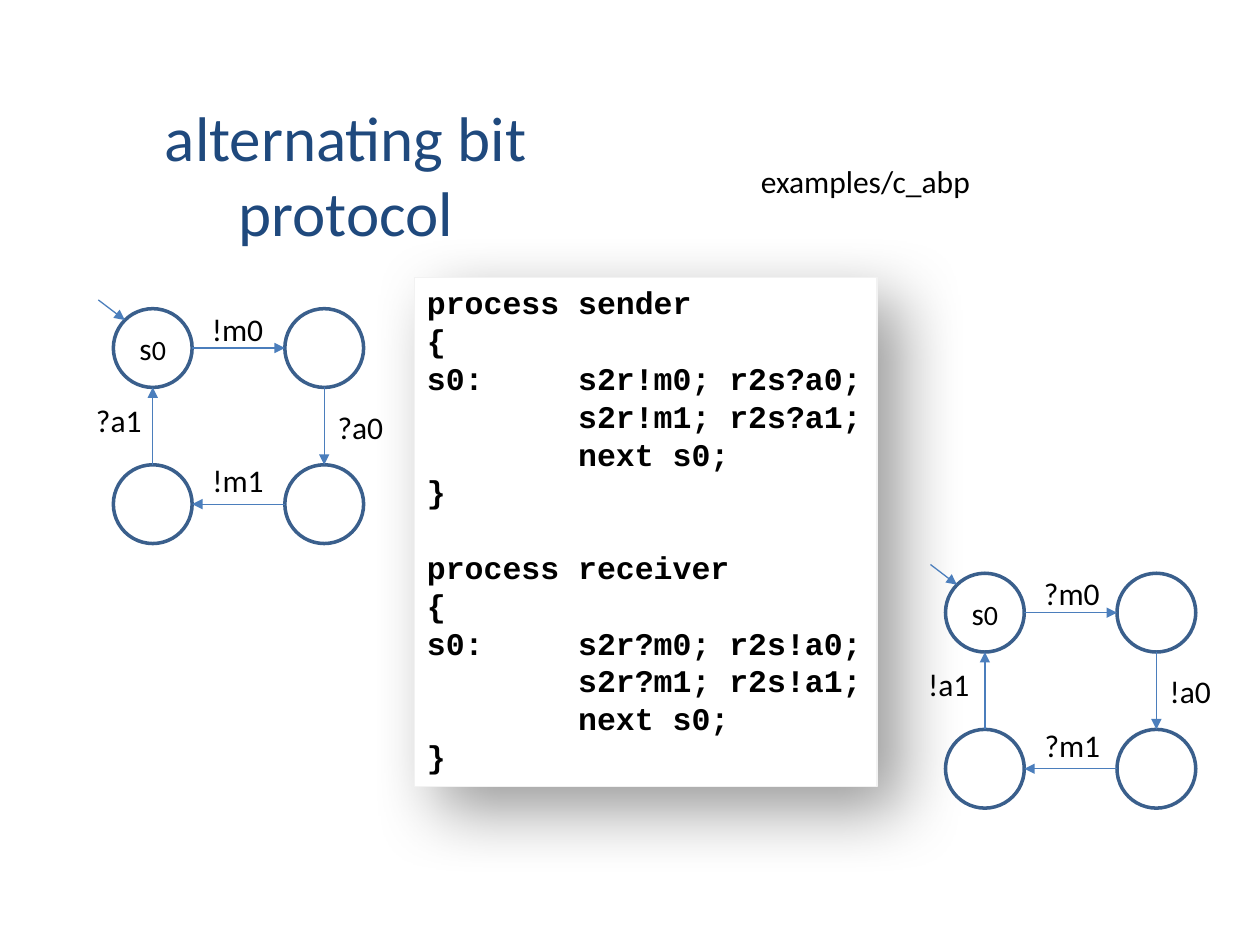
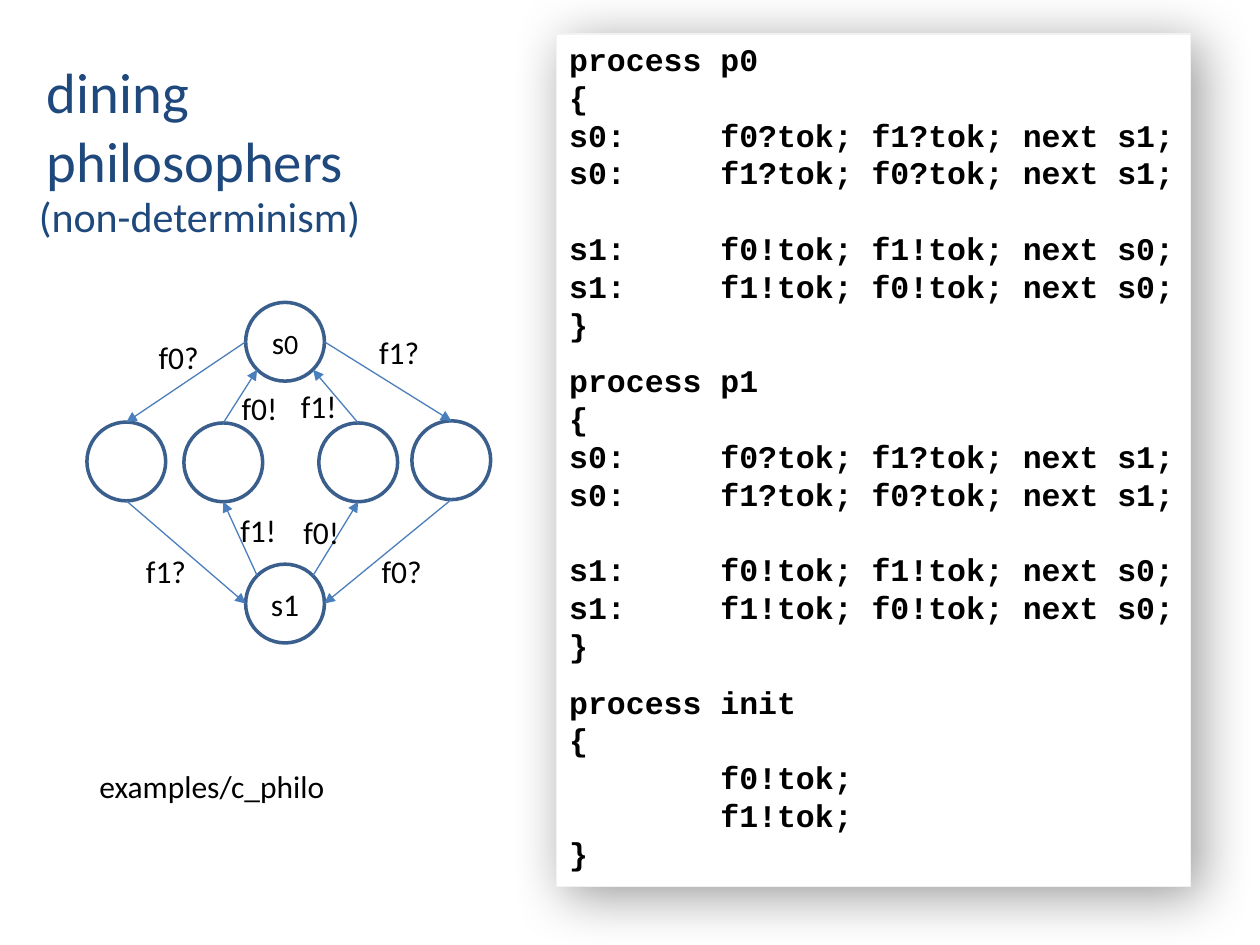
from lxml import etree
from pptx import Presentation
from pptx.dml.color import RGBColor
from pptx.enum import shapes as kinds, text as txt
from pptx.oxml import ns
from pptx.util import Pt

NAVY, BLACK, WHITE = "1F497D", "000000", "FFFFFF"
RING, ARROW, FRAME = "3A5F8C", "4B7EBC", "F2F2F2"
BODY, CODE = "Calibri", "Courier New"
SIZE, LINE, TAB = 18, 21.6, 86.4
DIAMETER = 45

SITES = {"n": (0, -1), "s": (0, 1), "w": (-1, 0), "e": (1, 0),
         "nw": (-0.71, -0.71), "ne": (0.71, -0.71),
         "sw": (-0.71, 0.71), "se": (0.71, 0.71)}

S0 = [("s", 18), ("0", 16)]
S1 = [("s1", 18)]


def abp_process(name, send, ack):
    return [(0, "", f"process {name}"), (0, "", "{"),
            (0, "s0:", f"s2r{send}m0; r2s{ack}a0;"),
            (0, None, f"s2r{send}m1; r2s{ack}a1;"),
            (0, None, "next s0;"), (0, "", "}")]


def philosopher(name):
    rows = [(0, "", f"process {name}"), (0, "", "{")]
    for state, mark, target in (("s0:", "?", "s1"), ("s1:", "!", "s0")):
        for first, second in (("f0", "f1"), ("f1", "f0")):
            gap = LINE if (state, first) == ("s1:", "f0") else 0
            rows.append((gap, state, f"{first}{mark}tok; {second}{mark}tok; next {target};"))
    return rows + [(0, "", "}")]


def after_gap(gap, rows):
    return [(gap,) + rows[0][1:]] + rows[1:]


ABP_CODE = abp_process("sender", "!", "?") + after_gap(LINE, abp_process("receiver", "?", "!"))
INIT = [(0, "", "process init"), (0, "", "{"), (0, None, "f0!tok;"),
        (0, None, "f1!tok;"), (0, "", "}")]
PHILO_CODE = (philosopher("p0") + after_gap(LINE / 2, philosopher("p1"))
              + after_gap(LINE / 2, INIT))

SQUARE_NODES = {"start": (0, 0, S0), "sent0": (98, 0, []),
                "acked0": (98, 89.2, []), "sent1": (0, 89.2, [])}
SQUARE_EDGES = [("start", "e", "sent0", "w"), ("sent0", "s", "acked0", "n"),
                ("acked0", "w", "sent1", "e"), ("sent1", "n", "start", "s")]
SQUARE_LABELS = [("m0", 49.2, -2.9, 47.5), ("m1", 49.5, 83.5, 47.5),
                 ("a0", 121, 53, 42), ("a1", -17, 49, 42)]
MACHINES = [((64.8, 176.4), "!", "?"), ((540.3, 327.6), "?", "!")]

FORK_NODES = {"s0": (140.4, 172.8, S0), "s1": (140.4, 322.4, S1),
              "take0": (49.7, 241.2, []), "drop1": (105.1, 241.7, []),
              "drop0": (182.2, 241.7, []), "take1": (235.4, 240.5, [])}
FORK_EDGES = [("s0", "w", "take0", "n"), ("take0", "s", "s1", "w"),
              ("s0", "e", "take1", "n"), ("take1", "s", "s1", "e"),
              ("s1", "nw", "drop1", "s"), ("drop1", "n", "s0", "sw"),
              ("s1", "ne", "drop0", "s"), ("drop0", "n", "s0", "se")]
FORK_LABELS = [("f0?", 83.5, 189.4, 38), ("f1?", 209.5, 186.5, 38),
               ("f1?", 76.3, 311.8, 38), ("f0?", 211, 311.8, 38),
               ("f1!", 130.3, 288.7, 36), ("f1!", 164.9, 217.4, 36),
               ("f0!", 166.3, 289.4, 36), ("f0!", 131, 218.9, 36)]


def rgb(value):
    return RGBColor.from_string(value)


def box(*lengths):
    return [Pt(round(length, 2)) for length in lengths]


def add_run(paragraph, words, size=SIZE, color=BLACK, face=BODY, bold=False):
    run = paragraph.add_run()
    run.text = words
    run.font.size, run.font.name, run.font.bold = Pt(size), face, bold
    run.font.color.rgb = rgb(color)


def add_words(parts, lines, at, size=SIZE, color=BLACK, align="LEFT", wrap=False):
    frame = parts.add_textbox(*box(*at)).text_frame
    frame.word_wrap = wrap
    frame.vertical_anchor = txt.MSO_ANCHOR.MIDDLE if wrap else txt.MSO_ANCHOR.TOP
    paragraph = frame.paragraphs[0]
    paragraph.alignment = txt.PP_ALIGN[align]
    for index, line in enumerate(lines):
        if index:
            paragraph.add_line_break()
        add_run(paragraph, line, size, color)


def add_outline(parts, preset, at, line_color, width):
    outline = parts.add_shape(preset, *box(*at))
    outline.shadow.inherit = False
    outline.fill.solid()
    outline.fill.fore_color.rgb = rgb(WHITE)
    outline.line.color.rgb = rgb(line_color)
    outline.line.width = Pt(width)
    return outline


def add_node(parts, x, y, name_runs):
    node = add_outline(parts, kinds.MSO_SHAPE.OVAL, (x, y, DIAMETER, DIAMETER), RING, 2)
    frame = node.text_frame
    frame.word_wrap = False
    frame.vertical_anchor = txt.MSO_ANCHOR.MIDDLE
    frame.paragraphs[0].alignment = txt.PP_ALIGN.CENTER
    for words, size in name_runs:
        add_run(frame.paragraphs[0], words, size)


def add_arrow(parts, start, end):
    arrow = parts.add_connector(kinds.MSO_CONNECTOR.STRAIGHT, *box(*start, *end))
    arrow.line.color.rgb = rgb(ARROW)
    arrow.line.width = Pt(0.75)
    etree.SubElement(arrow.line._get_or_add_ln(), ns.qn("a:tailEnd"), type="triangle")
    etree.SubElement(arrow._element.spPr, ns.qn("a:effectLst"))


def add_graph(parts, nodes, edges, labels, origin=(0, 0)):
    left, top = origin
    radius = DIAMETER / 2

    def site(node, side):
        x, y, _ = nodes[node]
        dx, dy = SITES[side]
        return left + x + radius * (1 + dx), top + y + radius * (1 + dy)

    for x, y, name_runs in nodes.values():
        add_node(parts, left + x, top + y, name_runs)
    for source, out_side, target, in_side in edges:
        add_arrow(parts, site(source, out_side), site(target, in_side))
    for words, x, y, width in labels:
        add_words(parts, [words], (left + x, top + y, width, 29))


def add_code(parts, rows, at, blur, distance):
    panel = add_outline(parts, kinds.MSO_SHAPE.RECTANGLE, at, FRAME, 0.75)
    effects = panel._element.spPr.find(ns.qn("a:effectLst"))
    shadow = etree.SubElement(effects, ns.qn("a:outerShdw"), blurRad=str(Pt(blur)),
                              dist=str(Pt(distance)), dir=str(45 * 60000),
                              algn="tl", rotWithShape="0")
    tint = etree.SubElement(shadow, ns.qn("a:srgbClr"), val=BLACK)
    etree.SubElement(tint, ns.qn("a:alpha"), val="40000")
    frame = panel.text_frame
    frame.word_wrap = True
    frame.vertical_anchor = txt.MSO_ANCHOR.TOP
    frame.margin_top, frame.margin_right = Pt(3.6), Pt(0)
    for index, (gap, label, statement) in enumerate(rows):
        paragraph = frame.add_paragraph() if index else frame.paragraphs[0]
        paragraph.alignment = txt.PP_ALIGN.LEFT
        paragraph.line_spacing = Pt(LINE)
        paragraph.space_before = Pt(gap)
        indents = paragraph._p.get_or_add_pPr()
        if label != "":
            indents.set("marL", str(Pt(TAB)))
            indents.set("indent", str(-Pt(TAB) if label else 0))
        words = f"{label}\t{statement}" if label else statement
        add_run(paragraph, words, face=CODE, bold=True)


deck = Presentation()
deck.slide_width, deck.slide_height = Pt(720), Pt(540)
blank = deck.slide_layouts[6]

abp = deck.slides.add_slide(blank).shapes
add_words(abp, ["alternating bit", "protocol"], (61.9, 10.8, 271.4, 177.1),
          36, NAVY, "CENTER", True)
add_code(abp, ABP_CODE, (236.9, 158.4, 264.3, 290.9), 39, 19)
for origin, message, ack in MACHINES:
    machine = abp.add_group_shape().shapes
    labels = [((message if name[0] == "m" else ack) + name, *place)
              for name, *place in SQUARE_LABELS]
    add_graph(machine, SQUARE_NODES, SQUARE_EDGES, labels, origin)
    left, top = origin
    add_arrow(machine, (left - 8.6, top - 5), (left + 6.5, top + 6.5))
add_words(abp, ["examples/c_abp"], (427.7, 89.3, 135.4, 29))

philo = deck.slides.add_slide(blank).shapes
add_words(philo, ["dining", "philosophers"], (19.7, 26.6, 267.8, 90), 32.4, NAVY, wrap=True)
add_code(philo, PHILO_CODE, (318.2, 19.4, 362.2, 487.4), 31, 7)
add_words(philo, ["(non-determinism)"], (15.1, 105.1, 200.2, 36), 24, NAVY)
add_graph(philo, FORK_NODES, FORK_EDGES, FORK_LABELS)
add_words(philo, ["examples/c_philo"], (49.7, 434.9, 144.7, 29))

deck.save("out.pptx")
